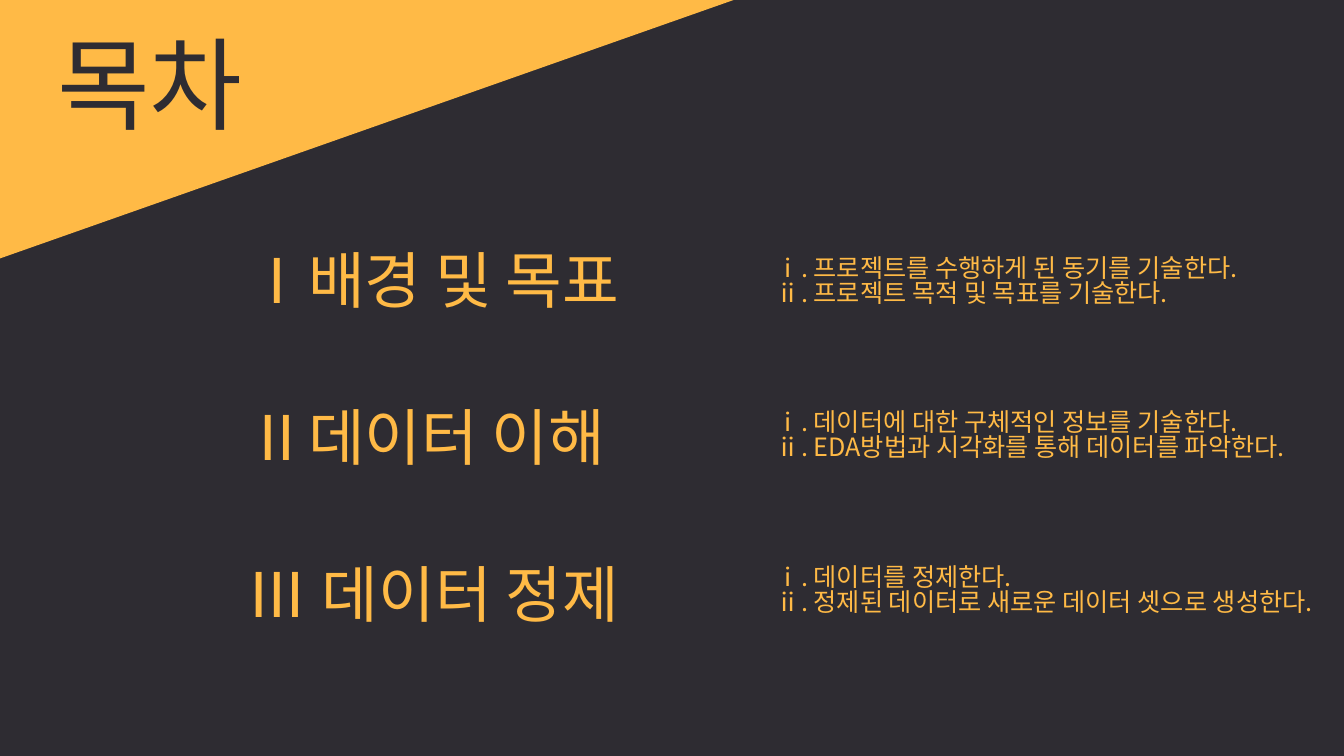
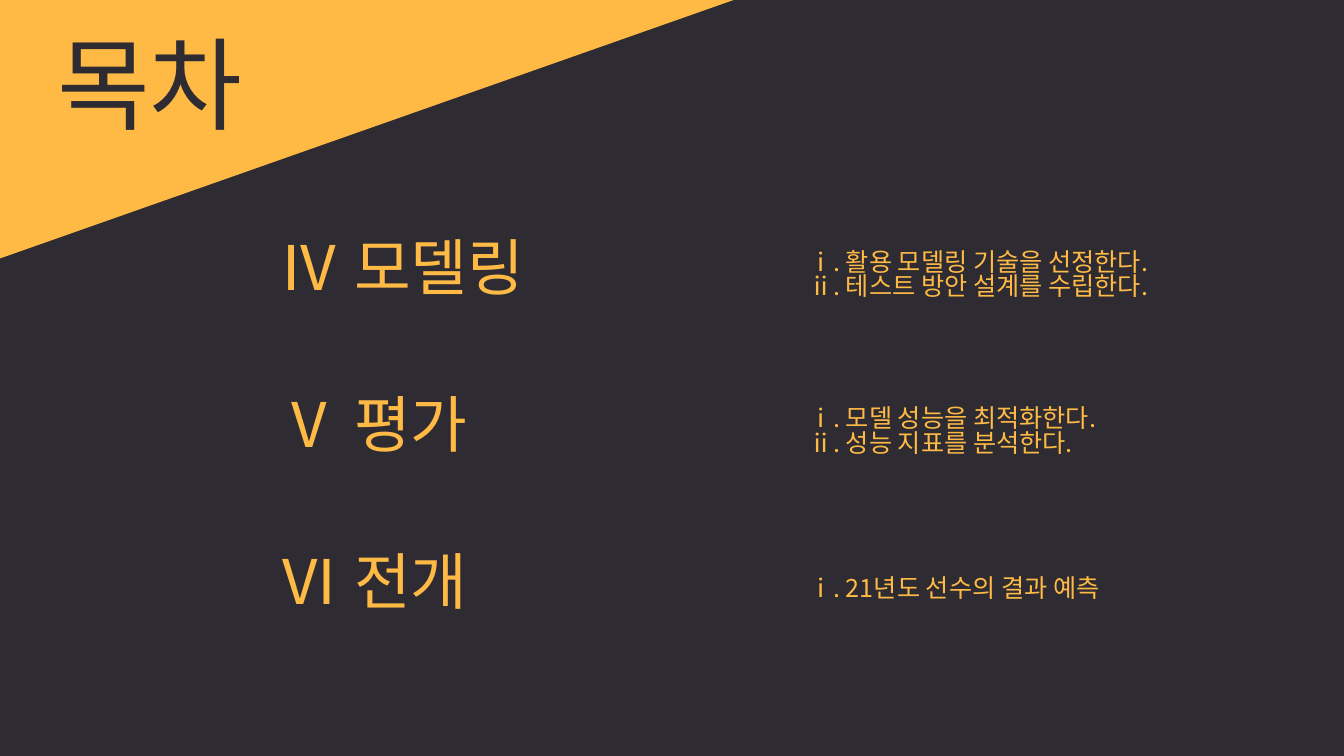
"""Build the two contents slides of a data project deck."""
from dataclasses import dataclass

from lxml.etree import SubElement
from pptx import Presentation
from pptx.dml.color import RGBColor
from pptx.enum.shapes import MSO_SHAPE as Preset
from pptx.enum.text import MSO_ANCHOR as Anchor, MSO_AUTO_SIZE as AutoSize, PP_ALIGN as Align
from pptx.oxml.ns import qn
from pptx.shapes.base import BaseShape
from pptx.slide import Slide
from pptx.util import Pt

COLORS = {"dark": "2E2C32", "amber": "FFBA46"}
FONT = "Noto Sans CJK KR"
COMPARISON_LAYOUT = 4
HEADING_PITCH = 112
HEADING_SIZE = (338, 94)
LIST_SIZE = (422, 64)


@dataclass(frozen=True)
class TextStyle:
    size: int
    color: str
    align: Align = Align.LEFT
    spacing: float = 1.0


@dataclass(frozen=True)
class Section:
    heading: str
    items: tuple[str, ...]


@dataclass(frozen=True)
class Agenda:
    heading_left: float
    heading_middle: float
    list_left: float
    list_middle: float
    list_pitch: float
    sections: tuple[Section, ...]


TITLE = TextStyle(72, "dark", Align.CENTER)
HEADING = TextStyle(44, "amber")
ITEM = TextStyle(18, "amber", spacing=0.82)

AGENDAS = (
    Agenda(169, 199.4, 547, 201.6, 110.5, (
        Section("Ⅰ배경 및 목표", (
            "ⅰ. 프로젝트를 수행하게 된 동기를 기술한다.",
            "ⅱ. 프로젝트 목적 및 목표를 기술한다.")),
        Section("Ⅱ데이터 이해", (
            "ⅰ. 데이터에 대한 구체적인 정보를 기술한다.",
            "ⅱ. EDA방법과 시각화를 통해 데이터를 파악한다.")),
        Section("Ⅲ 데이터 정제", (
            "ⅰ. 데이터를 정제한다.",
            "ⅱ. 정제된 데이터로 새로운 데이터 셋으로 생성한다.")),
    )),
    Agenda(192, 190.2, 570, 197.2, 112, (
        Section("Ⅳ 모델링", (
            "ⅰ. 활용 모델링 기술을 선정한다.",
            "ⅱ. 테스트 방안 설계를 수립한다.")),
        Section("Ⅴ 평가", (
            "ⅰ. 모델 성능을 최적화한다.",
            "ⅱ. 성능 지표를 분석한다.")),
        Section("Ⅵ 전개", ("ⅰ. 21년도 선수의 결과 예측",)),
    )),
)


def apply(target: object, values: dict) -> None:
    for name, value in values.items():
        setattr(target, name, value)


def rgb(name: str) -> RGBColor:
    return RGBColor.from_string(COLORS[name])


def place(box: BaseShape, left: float, middle: float, size: tuple[float, float]) -> None:
    width, height = size
    apply(box, {"left": Pt(left), "top": Pt(middle - height / 2),
                "width": Pt(width), "height": Pt(height)})


def write(box: BaseShape, lines: tuple[str, ...], style: TextStyle) -> None:
    frame = box.text_frame
    apply(frame, {"word_wrap": True, "auto_size": AutoSize.NONE,
                  "vertical_anchor": Anchor.MIDDLE})
    for index, line in enumerate(lines):
        para = frame.add_paragraph() if index else frame.paragraphs[0]
        apply(para, {"alignment": style.align, "line_spacing": style.spacing,
                     "space_before": Pt(0), "space_after": Pt(0)})
        properties = para._p.get_or_add_pPr()
        properties.set("marL", "0")
        properties.set("indent", "0")
        SubElement(properties, qn("a:buNone"))
        span = para.add_run()
        span.text = line
        apply(span.font, {"name": FONT, "size": Pt(style.size), "bold": False})
        span.font.color.rgb = rgb(style.color)
        SubElement(span._r.get_or_add_rPr(), qn("a:ea")).set("typeface", FONT)


def add_corner(page: Slide) -> None:
    corner = page.shapes.add_shape(
        Preset.ISOSCELES_TRIANGLE, Pt(0), Pt(-1.4), Pt(528), Pt(186))
    corner.adjustments[0] = 1
    corner.rotation = 180
    corner.shadow.inherit = False
    corner.fill.solid()
    corner.fill.fore_color.rgb = rgb("amber")
    corner.line.fill.background()
    page.shapes._spTree.insert(2, corner._element)


def add_agenda(deck: Presentation, agenda: Agenda) -> None:
    page = deck.slides.add_slide(deck.slide_layouts[COMPARISON_LAYOUT])
    page.background.fill.solid()
    page.background.fill.fore_color.rgb = rgb("dark")
    add_corner(page)

    title, *bodies = page.placeholders
    place(title, -62, 59, HEADING_SIZE)
    write(title, ("목차",), TITLE)

    for index, section in enumerate(agenda.sections):
        heading = page.shapes.add_textbox(0, 0, 0, 0)
        place(heading, agenda.heading_left,
              agenda.heading_middle + index * HEADING_PITCH, HEADING_SIZE)
        write(heading, (section.heading,), HEADING)
        place(bodies[index], agenda.list_left,
              agenda.list_middle + index * agenda.list_pitch, LIST_SIZE)
        write(bodies[index], section.items, ITEM)

    for spare in bodies[len(agenda.sections):]:
        spare._element.getparent().remove(spare._element)


def main() -> None:
    deck = Presentation()
    apply(deck, {"slide_width": Pt(960), "slide_height": Pt(540)})
    for agenda in AGENDAS:
        add_agenda(deck, agenda)
    deck.save("out.pptx")


if __name__ == "__main__":
    main()
